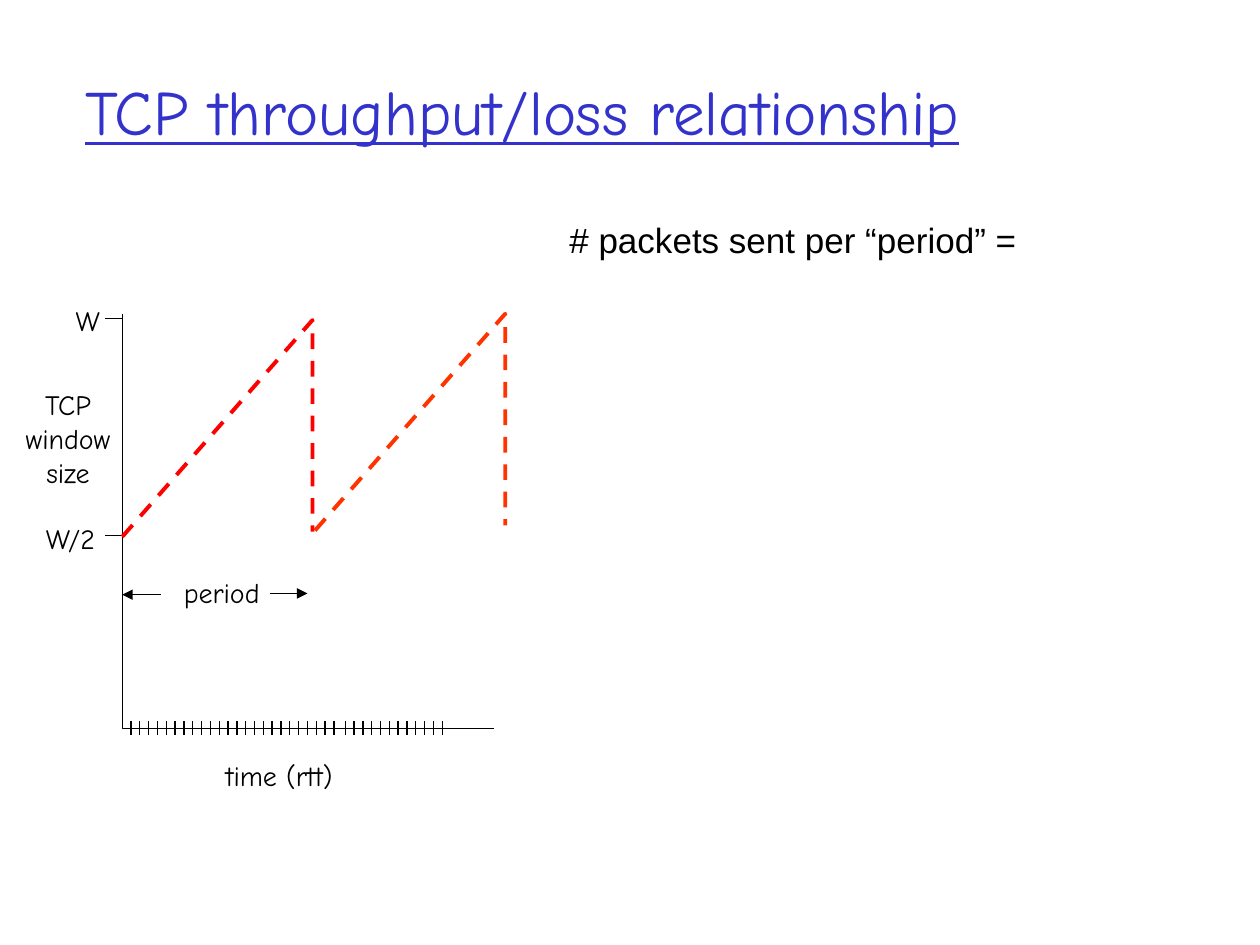
from pptx import Presentation
from pptx.dml.color import RGBColor
from pptx.enum.dml import MSO_LINE
from pptx.enum.shapes import MSO_CONNECTOR
from pptx.enum.text import MSO_ANCHOR, PP_ALIGN
from pptx.oxml.ns import qn
from pptx.util import Inches, Pt
from lxml.etree import SubElement

BLACK = RGBColor(0, 0, 0)
BLUE = RGBColor(0x33, 0x33, 0xCC)
RED = RGBColor(0xFF, 0, 0)
ORANGE = RGBColor(0xFF, 0x33, 0)
HAND = "Comic Neue"

# Plot geometry, in inches
LEFT, TOP, BASE, RIGHT = 0.97, 2.49, 5.78, 3.92
RISE, RUN, DROP = 1.72, 1.51, 1.68
STUB = 0.14
TICK, STEP, COUNT = 0.11, 0.07, 12

TITLE = "TCP throughput/loss relationship"
NOTE = "# packets sent per “period” ="
LABELS = [  # lines, box
    (["TCP", "window", "size"], (0.07, 3.03, 0.94, 0.9)),
    (["time (rtt)"], (1.69, 5.97, 1.05, 0.37)),
    (["W/2"], (0.26, 4.09, 0.6, 0.37)),
    (["W"], (0.5, 2.36, 0.39, 0.37)),
    (["period"], (1.36, 4.52, 0.8, 0.37)),
]
TEETH = [(LEFT, 4.26, RED), (2.5, 4.21, ORANGE)]  # low start of each tooth
LEVELS = [4.25, 2.53]  # W/2 and W
TICKS = [1.04, 1.88, 2.74]  # first tick of each group
ARROWS = [(LEFT, 1.28, 4.72, "headEnd"), (2.14, 2.44, 4.71, "tailEnd")]


def write(shapes, lines, box, size=16, font=HAND, color=BLACK,
          align=PP_ALIGN.CENTER, anchor=MSO_ANCHOR.TOP, wrap=False):
    frame = shapes.add_textbox(*map(Inches, box)).text_frame
    frame.word_wrap = wrap
    frame.vertical_anchor = anchor
    frame.text = "\n".join(lines)
    for par in frame.paragraphs:
        par.alignment = align
        par.font.size = Pt(size)
        par.font.name = font
        par.font.color.rgb = color
    return frame


def wire(shapes, x1, y1, x2, y2, end=None):
    """Add a thin straight line, with an arrowhead if an end is named."""
    line = shapes.add_connector(MSO_CONNECTOR.STRAIGHT,
                                *map(Inches, (x1, y1, x2, y2)))
    line.line.color.rgb = BLACK
    line.line.width = Pt(0.75)
    if end:
        SubElement(line.line._get_or_add_ln(), qn("a:" + end), type="triangle")
    SubElement(line._element.spPr, qn("a:effectLst"))


def trace(shapes, points, color, width, dash=None):
    """Add an open, unfilled path."""
    start, *rest = [(Inches(x), Inches(y)) for x, y in points]
    pen = shapes.build_freeform(*start)
    pen.add_line_segments(rest, close=False)
    shape = pen.convert_to_shape()
    shape.shadow.inherit = False
    shape.fill.background()
    shape.line.color.rgb = color
    shape.line.width = Pt(width)
    if dash:
        shape.line.dash_style = dash


def main():
    deck = Presentation()
    deck.slide_width, deck.slide_height = Inches(10), Inches(7.5)
    shapes = deck.slides.add_slide(deck.slide_layouts[6]).shapes

    title = write(shapes, [TITLE], (0.58, 0.25, 8.5, 1.25), 36, HAND, BLUE,
                  PP_ALIGN.LEFT, MSO_ANCHOR.MIDDLE, True)
    title.paragraphs[0].font.underline = True

    trace(shapes, [(LEFT, TOP), (LEFT, BASE), (RIGHT, BASE)], BLACK, 0.75)
    for y in LEVELS:
        wire(shapes, LEFT, y, LEFT - STUB, y)
    for x, y, color in TEETH:
        peak = (x + RUN, y - RISE)
        trace(shapes, [(x, y), peak, (x + RUN, peak[1] + DROP)],
              color, 2.25, MSO_LINE.DASH)

    for first in TICKS:
        group = shapes.add_group_shape().shapes
        for i in range(COUNT):
            x = first + i * STEP
            wire(group, x, BASE - TICK / 2, x, BASE + TICK / 2)

    for lines, box in LABELS:
        write(shapes, lines, box)
    for x1, x2, y, end in ARROWS:
        wire(shapes, x1, y, x2, y, end)
    write(shapes, [NOTE], (4.42, 1.55, 3.88, 0.57), 20, "Arial",
          align=PP_ALIGN.LEFT, anchor=MSO_ANCHOR.BOTTOM)

    deck.save("out.pptx")


if __name__ == "__main__":
    main()
